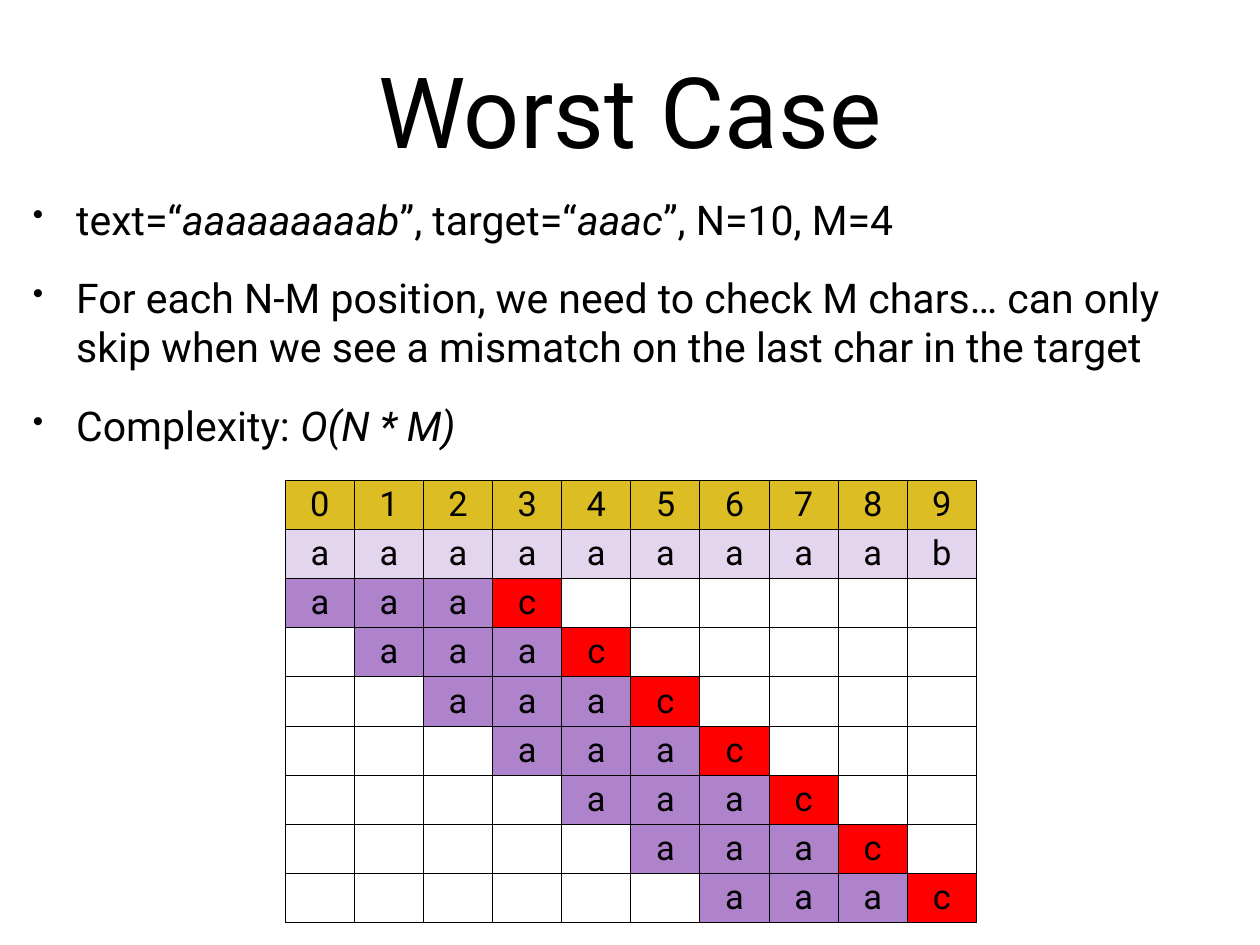
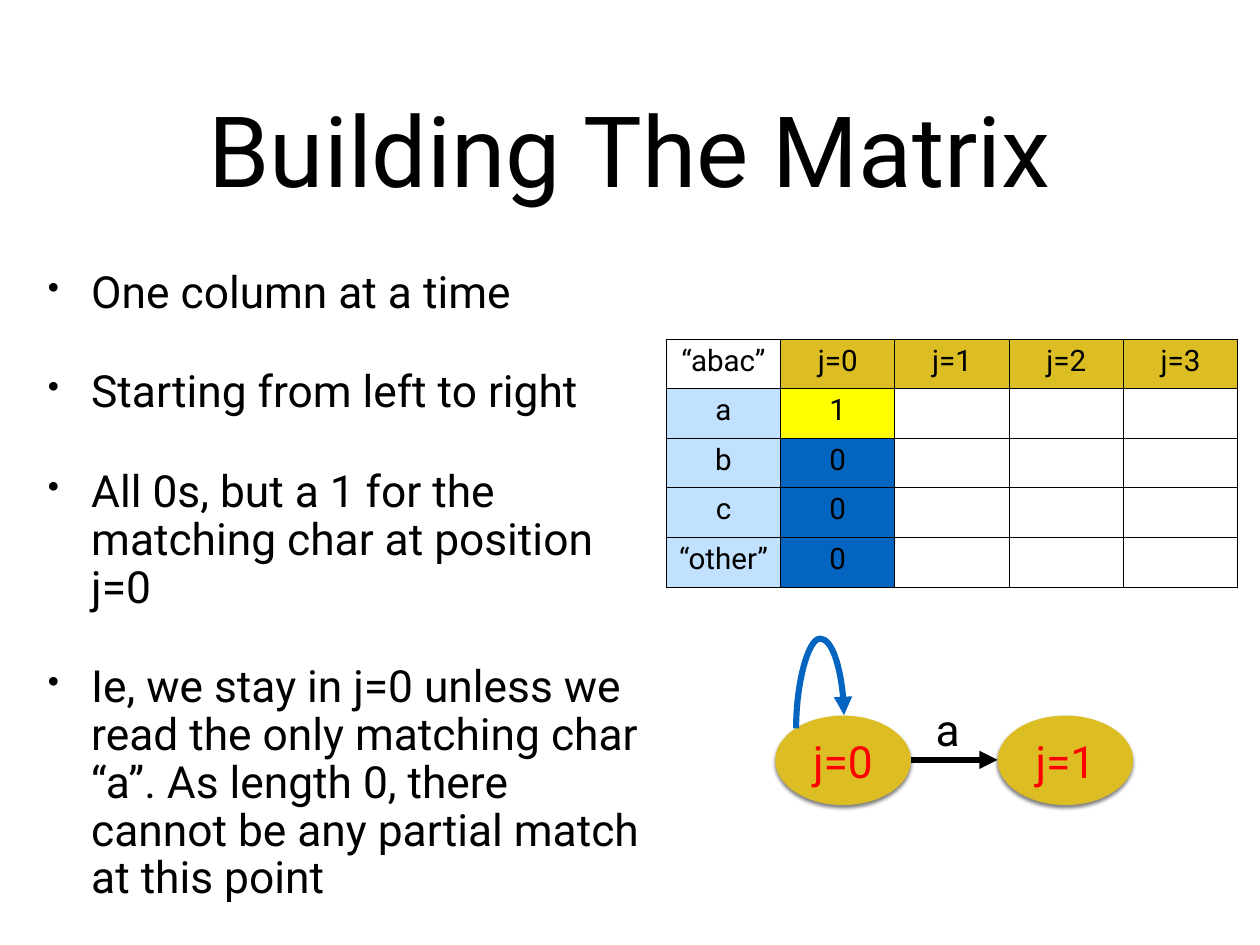
import lxml.etree
import pptx
import pptx.dml.color
import pptx.enum.shapes
import pptx.enum.text
import pptx.oxml.ns
import pptx.util

PX = 9144  # EMU per px, 100 px to the inch
FONT = "Roboto"
COLORS = {
    "black": "000000",
    "gold": "DCBD23",
    "lilac": "E4D5EE",
    "purple": "AF82CC",
    "red": "FF0000",
    "yellow": "FFFF00",
    "sky": "C1E1FE",
    "blue": "0365C0",
}
CENTER = pptx.enum.text.PP_ALIGN.CENTER
LEFT = pptx.enum.text.PP_ALIGN.LEFT
CONNECTOR = pptx.enum.shapes.MSO_CONNECTOR


def px(*lengths):
    return [pptx.util.Emu(n * PX) for n in lengths]


def rgb(name):
    return pptx.dml.color.RGBColor.from_string(COLORS[name])


def add_xml(parent, tag, **attrs):
    child = lxml.etree.SubElement(parent, pptx.oxml.ns.qn(tag))
    for key, value in attrs.items():
        child.set(key, str(value))
    return child


class Deck:
    """Shared style and the current slide."""

    def __init__(self, width, height):
        self.prs = pptx.Presentation()
        self.prs.slide_width, self.prs.slide_height = px(width, height)
        self.s = None

    def slide(self, title, top):
        self.s = self.prs.slides.add_slide(self.prs.slide_layouts[5])
        sp = self.s.shapes.title
        sp.left, sp.top, sp.width, sp.height = px(104, top, 1214, 236)
        sp.text_frame.text = title
        self.frame(sp.text_frame)
        self.style(sp.text_frame.paragraphs[0], 80)

    def frame(self, tf, wrap=True):
        tf.word_wrap = wrap
        tf.auto_size = pptx.enum.text.MSO_AUTO_SIZE.NONE
        tf.vertical_anchor = pptx.enum.text.MSO_ANCHOR.MIDDLE
        inset = px(6)[0]
        tf.margin_left = tf.margin_right = inset
        tf.margin_top = tf.margin_bottom = inset

    def style(self, p, size, color="black", align=CENTER):
        p.alignment = align
        for r in p.runs:
            r.font.name = FONT
            r.font.size = pptx.util.Pt(size)
            r.font.color.rgb = rgb(color)

    def bullets(self, box, items, size, before, spacing=1.0):
        """Bulleted text; parts between bars are italic."""
        tf = self.s.shapes.add_textbox(*px(*box)).text_frame
        self.frame(tf)
        for i, item in enumerate(items):
            p = tf.add_paragraph() if i else tf.paragraphs[0]
            for n, part in enumerate(item.split("|")):
                if part:
                    r = p.add_run()
                    r.text = part
                    r.font.italic = n % 2 == 1
            p.space_before = pptx.util.Pt(before)
            p.line_spacing = spacing
            self.style(p, size, align=LEFT)
            pPr = p._p.get_or_add_pPr()
            pPr.set("marL", str(49 * PX))
            pPr.set("indent", str(-49 * PX))
            add_xml(pPr, "a:buSzPct", val=75000)
            add_xml(pPr, "a:buChar", char="•")

    def label(self, box, text, size):
        tf = self.s.shapes.add_textbox(*px(*box)).text_frame
        tf.text = text
        self.frame(tf, wrap=False)
        self.style(tf.paragraphs[0], size)

    def table(self, x, y, col_w, row_h, rows, size):
        """Grid of (text, fill) cells; a fill of None is clear."""
        n_rows, n_cols = len(rows), len(rows[0])
        box = px(x, y, col_w * n_cols, row_h * n_rows)
        table = self.s.shapes.add_table(n_rows, n_cols, *box).table
        table.first_row = table.horz_banding = False
        for row, cells in zip(table.rows, rows):
            row.height = px(row_h)[0]
            for cell, (text, fill) in zip(row.cells, cells):
                cell.text = text
                self.style(cell.text_frame.paragraphs[0], size)
                self.borders(cell)
                if fill:
                    cell.fill.solid()
                    cell.fill.fore_color.rgb = rgb(fill)
                else:
                    cell.fill.background()

    def borders(self, cell):
        tcPr = cell._tc.get_or_add_tcPr()
        for side in "LRTB":
            ln = add_xml(tcPr, "a:ln" + side, w=pptx.util.Pt(1))
            add_xml(add_xml(ln, "a:solidFill"), "a:srgbClr", val=COLORS["black"])

    def state(self, box, text):
        sp = self.s.shapes.add_shape(pptx.enum.shapes.MSO_SHAPE.OVAL, *px(*box))
        sp.fill.solid()
        sp.fill.fore_color.rgb = rgb("gold")
        sp.line.fill.background()
        sp.text_frame.text = text
        self.frame(sp.text_frame)
        self.style(sp.text_frame.paragraphs[0], 36, "red")
        # Soft shadow straight below
        sp.shadow.inherit = False
        effects = sp._element.spPr.find(pptx.oxml.ns.qn("a:effectLst"))
        shadow = add_xml(effects, "a:outerShdw", blurRad=pptx.util.Pt(3),
                         dist=pptx.util.Pt(2), dir=5400000, rotWithShape=0)
        clr = add_xml(shadow, "a:srgbClr", val=COLORS["black"])
        add_xml(clr, "a:alpha", val=50000)

    def arrow(self, kind, start, end, color):
        cxn = self.s.shapes.add_connector(kind, *px(*start, *end))
        cxn.line.width = pptx.util.Pt(5)
        cxn.line.color.rgb = rgb(color)
        add_xml(cxn.line._get_or_add_ln(), "a:tailEnd", type="triangle")
        add_xml(cxn._element.spPr, "a:effectLst")
        return cxn

    def loop_arrow(self, start, end, bend, color):
        """Curved arrow turned a quarter, so that it bulges upwards."""
        spPr = self.arrow(CONNECTOR.CURVE, start, end, color)._element.spPr
        spPr.find(pptx.oxml.ns.qn("a:xfrm")).set("rot", "5400000")
        geom = spPr.find(pptx.oxml.ns.qn("a:prstGeom"))
        guides = geom.find(pptx.oxml.ns.qn("a:avLst"))
        if guides is None:
            guides = add_xml(geom, "a:avLst")
        add_xml(guides, "a:gd", name="adj1", fmla=f"val {bend}")


def worst_case(deck):
    deck.slide("Worst Case", 5)
    deck.bullets((31, 211, 1372, 305), [
        "text=“|aaaaaaaaab|”, target=“|aaac|”, N=10, M=4",
        "For each N-M position, we need to check M chars… can only skip "
        "when we see a mismatch on the last char in the target",
        "Complexity: |O(N * M)|",
    ], 33.3, 24)

    # Index, text, then the target moved one place per row
    text, target = "aaaaaaaaab", "aaac"
    rows = [[(str(i), "gold") for i in range(len(text))],
            [(char, "lilac") for char in text]]
    tried = [(char, "red" if char == "c" else "purple") for char in target]
    blank = [("", None)]
    spare = len(text) - len(target)
    for shift in range(spare + 1):
        rows.append(blank * shift + tried + blank * (spare - shift))
    deck.table(322, 542, 78, 55, rows, 28)


def building_matrix(deck):
    deck.slide("Building The Matrix", 49)
    deck.bullets((48, 285, 696, 755), [
        "One column at a time",
        "Starting from left to right",
        "All 0s, but a 1 for the matching char at position j=0",
        "Ie, we stay in j=0 unless we read the only matching char “a”. "
        "As length 0, there cannot be any partial match at this point",
    ], 36, 42, 0.9)

    # Transition matrix with its first column filled
    rows = [[("“abac”", None)] + [(f"j={j}", "gold") for j in range(4)]]
    for char, value in (("a", "1"), ("b", "0"), ("c", "0"), ("“other”", "0")):
        fill = "yellow" if value == "1" else "blue"
        rows.append([(char, "sky"), (value, fill)] + [("", None)] * 3)
    deck.table(752, 383, 129, 56, rows, 24)

    # State diagram
    for j in range(2):
        deck.state((875 + 251 * j, 808, 153, 101), f"j={j}")
    deck.arrow(CONNECTOR.STRAIGHT, (1028, 858), (1126, 858), "black")
    deck.loop_arrow((933, 842), (918, 788), 676200, "blue")
    deck.label((1050, 787, 39, 72), "a", 36)


def main():
    deck = Deck(1422, 1067)
    worst_case(deck)
    building_matrix(deck)
    deck.prs.save("out.pptx")


if __name__ == "__main__":
    main()
